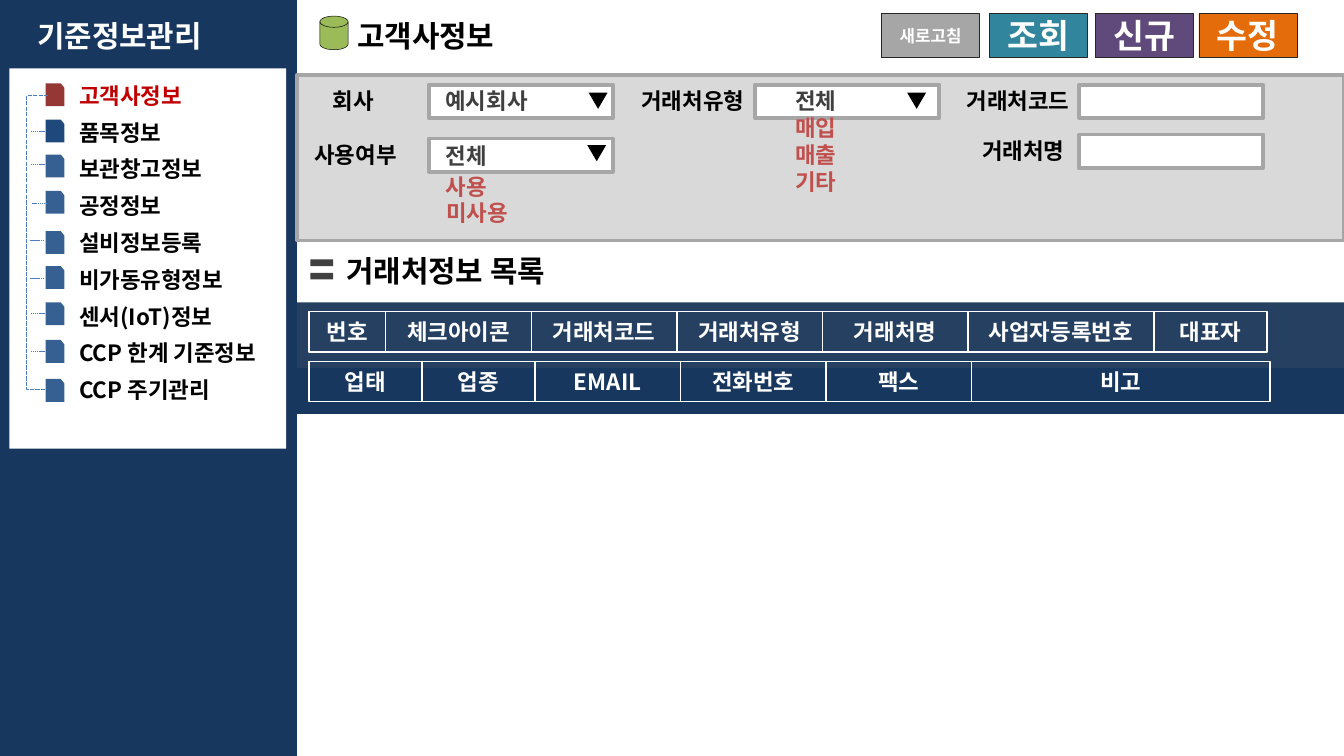
from itertools import accumulate

from pptx import Presentation
from pptx.dml.color import RGBColor
from pptx.enum.dml import MSO_LINE
from pptx.enum.shapes import MSO_CONNECTOR, MSO_SHAPE
from pptx.enum.text import MSO_ANCHOR, MSO_AUTO_SIZE, PP_ALIGN
from pptx.oxml.ns import qn
from pptx.oxml.xmlchemy import OxmlElement
from pptx.util import Inches, Pt

RECT, CARD = MSO_SHAPE.RECTANGLE, MSO_SHAPE.FLOWCHART_CARD
DISK, TRIANGLE = MSO_SHAPE.FLOWCHART_MAGNETIC_DISK, MSO_SHAPE.ISOSCELES_TRIANGLE
STRAIGHT, ELBOW = MSO_CONNECTOR.STRAIGHT, MSO_CONNECTOR.ELBOW
DASH = MSO_LINE.SQUARE_DOT
LEFT, CENTER = PP_ALIGN.LEFT, PP_ALIGN.CENTER
TOP, MIDDLE = MSO_ANCHOR.TOP, MSO_ANCHOR.MIDDLE
GROW = MSO_AUTO_SIZE.SHAPE_TO_FIT_TEXT

FONT = "Noto Sans CJK KR"
SLIDE_WIDTH = Inches(10)
SLIDE_HEIGHT = int(SLIDE_WIDTH * 9 / 16)
COLUMNS = 1000
ROWS = 562.5
MAIN_LEFT = 221
MAIN_WIDTH = COLUMNS - MAIN_LEFT
LABEL_HEIGHT, TITLE_HEIGHT = 30, 37

COLORS = {
    "navy": "17375E", "header": "254061", "white": "FFFFFF", "black": "000000",
    "active": "C00000", "active icon": "953735", "item icon": "1F497D",
    "icon": "376092", "tree": "4B7EBC", "green": "9BBB59", "panel": "D9D9D9",
    "gray": "A6A6A6", "dark": "404040", "option": "C0504D", "outline": "262626",
    "teal": "31859C", "purple": "604A7B", "orange": "E46C0A",
}

MENU = ["고객사정보", "품목정보", "보관창고정보", "공정정보", "설비정보등록",
        "비가동유형정보", "센서(IoT)정보", "CCP 한계 기준정보", "CCP 주기관리"]
MENU_TOP, MENU_STEP = 56, 27.4
ICON_TOPS = [62, 89, 115, 142, 172, 198, 225, 253, 282]
BRANCHES = [(23, 98), (23, 122), (24, 151), (22, 179), (22, 207), (23, 233), (23, 261)]

BUTTONS = [("새로고침", 656, "gray", 9), ("조회", 736, "teal", 18),
           ("신규", 815, "purple", 18), ("수정", 892, "orange", 18)]
FIELDS = [(319, 63), (319, 103), (562, 63), (803, 63), (803, 100)]
ARROWS = [(438, 69), (437, 108), (675, 69)]
FIELD_TEXTS = [
    ("회사", 230, 60, 66, "black"), ("사용여부", 214, 100, 101, "black"),
    ("거래처유형", 452, 60, 127, "black"), ("거래처코드", 694, 60, 127, "black"),
    ("거래처명", 698, 97, 127, "black"), ("예시회사", 318, 60, 88, "dark"),
    ("전체", 303, 101, 88, "dark"), ("사용", 303, 124, 88, "option"),
    ("미사용", 311, 143, 88, "option"),
]
FIRST_HEADERS = [("번호", 57), ("체크아이콘", 108.3), ("거래처코드", 108.3),
                 ("거래처유형", 108.3), ("거래처명", 108.3),
                 ("사업자등록번호", 138.5), ("대표자", 84)]
SECOND_HEADERS = [("업태", 84), ("업종", 84), ("EMAIL", 108.3),
                  ("전화번호", 108.3), ("팩스", 108.3), ("비고", 222)]


def color(name):
    return RGBColor.from_string(COLORS[name])


def x(column):
    return int(SLIDE_WIDTH * column / COLUMNS)


def y(row):
    return int(SLIDE_HEIGHT * row / ROWS)


def box(column, row, width, height):
    return x(column), y(row), x(width), y(height)


def draw(slide, kind, area, fill=None, outline=None, weight=0.25):
    shape = slide.shapes.add_shape(kind, *box(*area))
    shape.shadow.inherit = False
    if fill:
        shape.fill.solid()
        shape.fill.fore_color.rgb = color(fill)
    else:
        shape.fill.background()
    if outline:
        shape.line.color.rgb = color(outline)
        shape.line.width = Pt(weight)
    else:
        shape.line.fill.background()
    return shape


def write(shape, lines, size, align, anchor=TOP):
    frame = shape.text_frame
    frame.word_wrap = True
    frame.vertical_anchor = anchor
    if anchor == TOP:
        frame.auto_size = GROW
    for index, (words, ink) in enumerate(lines):
        paragraph = frame.add_paragraph() if index else frame.paragraphs[0]
        paragraph.text = words
        paragraph.alignment = align
        paragraph.font.name = FONT
        paragraph.font.size = Pt(size)
        paragraph.font.bold = True
        paragraph.font.color.rgb = color(ink)
        for run in paragraph.runs:
            east_asian = OxmlElement("a:ea")
            east_asian.set("typeface", FONT)
            run.font._element.append(east_asian)


def label(slide, lines, area, size=12, align=LEFT):
    write(slide.shapes.add_textbox(*box(*area)), lines, size, align)


def dashed(slide, kind, start, end, weight):
    connector = slide.shapes.add_connector(
        kind, x(start[0]), y(start[1]), x(end[0]), y(end[1]))
    connector.line.color.rgb = color("tree")
    connector.line.width = Pt(weight)
    connector.line.dash_style = DASH
    connector.element.spPr.append(OxmlElement("a:effectLst"))
    return connector


def sidebar(slide):
    draw(slide, RECT, (0, 0, MAIN_LEFT, ROWS), "navy")
    label(slide, [("기준정보관리", "white")], (18, 8, 173, TITLE_HEIGHT), 16)
    draw(slide, RECT, (7, 51, 206, 283), "white")
    icon_fills = ["active icon", "item icon"] + ["icon"] * (len(MENU) - 2)
    for index, (item, top, fill) in enumerate(zip(MENU, ICON_TOPS, icon_fills)):
        ink = "black" if index else "active"
        label(slide, [(item, ink)], (49, MENU_TOP + MENU_STEP * index, 163, LABEL_HEIGHT))
        card = draw(slide, CARD, (34, top, 14, 17), fill)
        card.element.spPr.find(qn("a:xfrm")).set("flipH", "1")
    trunk = dashed(slide, ELBOW, (36, 71), (34, 290), 0.75)
    bend = OxmlElement("a:gd")
    bend.set("name", "adj1")
    bend.set("fmla", "val 800000")
    trunk.element.spPr.find(qn("a:prstGeom")).find(qn("a:avLst")).append(bend)
    for column, row in BRANCHES:
        dashed(slide, STRAIGHT, (column, row), (column + 10, row), 0.25)


def title_bar(slide):
    label(slide, [("고객사정보", "black")], (256, 8, 141, TITLE_HEIGHT), 16)
    draw(slide, DISK, (238, 12, 21, 25), "green", "black")
    for words, column, fill, size in BUTTONS:
        button = draw(slide, RECT, (column, 10, 73, 33), fill, "outline")
        write(button, [(words, "white")], size, CENTER, MIDDLE)


def search_panel(slide):
    draw(slide, RECT, (MAIN_LEFT, 56, MAIN_WIDTH, 123), "panel", "gray", 2)
    for column, row in FIELDS:
        draw(slide, RECT, (column, row, 137, 25), "white", "gray", 2)
    for column, row in ARROWS:
        draw(slide, TRIANGLE, (column, row, 14, 12), "black").rotation = 180
    for words, column, row, width, ink in FIELD_TEXTS:
        label(slide, [(words, ink)], (column, row, width, LABEL_HEIGHT), align=CENTER)
    types = [("전체", "dark")] + [(words, "option") for words in ("매입", "매출", "기타")]
    label(slide, types, (563, 60, 88, 91), align=CENTER)


def header_row(slide, headers, row):
    lefts = accumulate((width for _, width in headers), initial=230)
    for (words, width), column in zip(headers, lefts):
        cell = draw(slide, RECT, (column, row, width, LABEL_HEIGHT), None, "white", 0.75)
        write(cell, [(words, "white")], 12, CENTER)


def partner_list(slide):
    label(slide, [("거래처정보 목록", "black")], (248, 183, 196, TITLE_HEIGHT), 16)
    for row in (193, 203):
        draw(slide, RECT, (231, row, 17, 5), "dark")
    draw(slide, RECT, (MAIN_LEFT, 225, MAIN_WIDTH, 50), "header")
    draw(slide, RECT, (MAIN_LEFT, 274, MAIN_WIDTH, 34), "navy")
    header_row(slide, FIRST_HEADERS, 232)
    header_row(slide, SECOND_HEADERS, 269)


def main():
    presentation = Presentation()
    presentation.slide_width = SLIDE_WIDTH
    presentation.slide_height = SLIDE_HEIGHT
    slide = presentation.slides.add_slide(presentation.slide_layouts[6])
    sidebar(slide)
    title_bar(slide)
    search_panel(slide)
    partner_list(slide)
    presentation.save("out.pptx")


if __name__ == "__main__":
    main()
